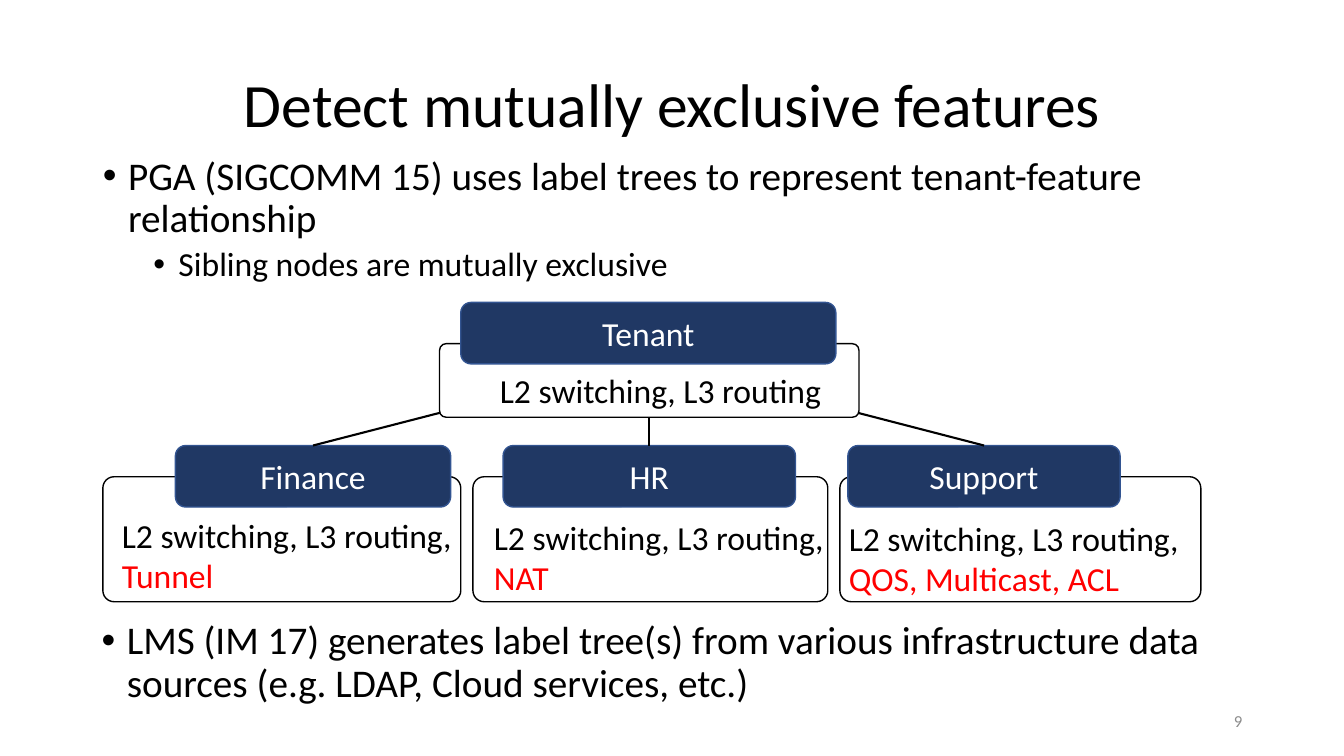
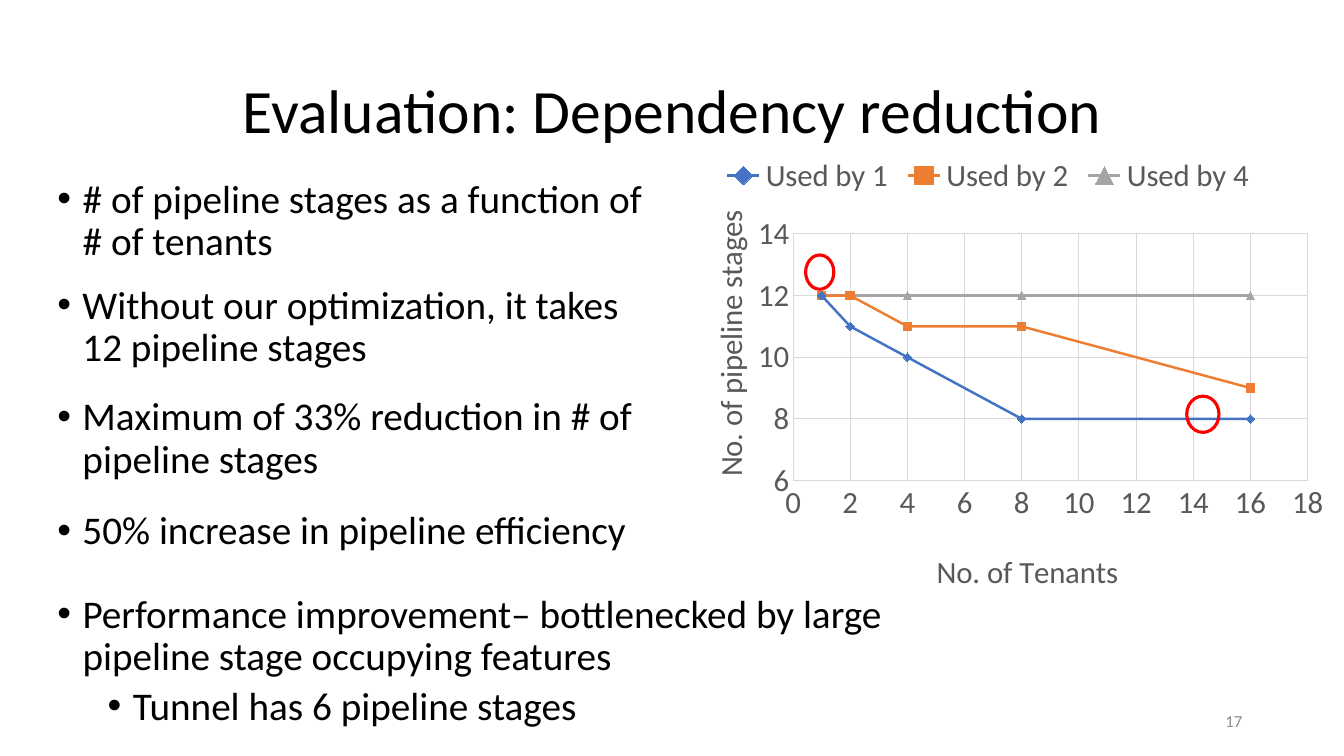
from lxml import etree
from pptx import Presentation
from pptx.chart.data import XyChartData
from pptx.dml.color import RGBColor
from pptx.enum.chart import XL_CHART_TYPE as CT, XL_LEGEND_POSITION as LP
from pptx.enum.chart import XL_MARKER_STYLE as MS, XL_TICK_MARK as TM
from pptx.enum.shapes import MSO_CONNECTOR, MSO_SHAPE as SH
from pptx.enum.text import MSO_ANCHOR, MSO_AUTO_SIZE, PP_ALIGN
from pptx.oxml import parse_xml
from pptx.oxml.ns import nsdecls, qn
from pptx.util import Inches, Pt

FONT = "Calibri"
BLACK, WHITE, RED, NAVY, EDGE = "000000", "FFFFFF", "FF0000", "203864", "325491"
GREY, PALE, NUMBER = "595959", "D9D9D9", "8C8C8C"

TREE_TITLE = "Detect mutually exclusive features"
TREE_INTRO = [
    (0, 28, "PGA (SIGCOMM 15) uses label trees to represent tenant-feature relationship"),
    (1, 24, "Sibling nodes are mutually exclusive"),
]
TREE_OUTRO = [(0, 28, "LMS (IM 17) generates label tree(s) from various infrastructure "
                      "data sources (e.g. LDAP, Cloud services, etc.)")]
SHARED = "L2 switching, L3 routing"
ROOT = dict(name="Tenant", panel=(4.36, 3.41, 4.16, 0.73), head=(4.57, 3, 3.72),
            text=(4.86, 3.62), lines=[(SHARED, BLACK)])
CHILDREN = [
    dict(name=name, panel=(px, 4.73, pw, 1.24), head=(hx, 4.42, hw), text=(tx, ty),
         lines=[(SHARED + ",", BLACK), (own, RED)])
    for name, px, pw, hx, hw, tx, ty, own in [
        ("Finance", 1.02, 3.55, 1.74, 2.73, 1.11, 5.06, "Tunnel"),
        ("HR", 4.69, 3.52, 4.99, 2.9, 4.8, 5.08, "NAT"),
        ("Support", 8.33, 3.58, 8.41, 2.7, 8.32, 5.09, "QOS, Multicast, ACL"),
    ]
]

EVAL_TITLE = "Evaluation: Dependency reduction"
EVAL_POINTS = [
    ((0.47, 1.73, 6.24, 0.96), [(0, 28, "# of pipeline stages as a function of # of tenants")]),
    ((0.47, 2.78, 6.24, 0.96), [(0, 28, "Without our optimization, it takes 12 pipeline stages")]),
    ((0.47, 3.89, 6.24, 0.98), [(0, 28, "Maximum of 33% reduction in # of pipeline stages")]),
    ((0.47, 5.02, 6.24, 0.78), [(0, 28, "50% increase in pipeline efficiency")]),
    ((0.47, 5.85, 9.15, 1.36), [
        (0, 28, "Performance improvement– bottlenecked by large pipeline stage occupying features"),
        (1, 28, "Tunnel has 6 pipeline stages")]),
]
TENANTS = [1, 2, 4, 8, 16]
SERIES = [
    ("Used by 1", [12, 11, 10, 8, 8], "4472C4", MS.DIAMOND),
    ("Used by 2", [12, 12, 11, 11, 9], "ED7D31", MS.SQUARE),
    ("Used by 4", [12, 12, 12, 12, 12], "A5A5A5", MS.TRIANGLE),
]
RINGS = [(7.99, 2.53, 0.28, 0.34), (11.77, 3.93, 0.32, 0.36)]


def rgb(color):
    return RGBColor.from_string(color)


def box(*lengths):
    return [Inches(n) for n in lengths]


def style(font, size, color):
    font.name, font.size, font.bold = FONT, Pt(size), False
    font.color.rgb = rgb(color)


def add_run(p, text, size, color=BLACK):
    r = p.add_run()
    r.text = text
    style(r.font, size, color)


def place(sp, at):
    sp.left, sp.top, sp.width, sp.height = box(*at)
    tf = sp.text_frame
    tf.word_wrap, tf.auto_size = True, MSO_AUTO_SIZE.NONE
    return tf


def paragraph(tf, i):
    return tf.paragraphs[0] if i == 0 else tf.add_paragraph()


def add_text(s, at):
    return place(s.shapes.add_textbox(*box(*at)), at)


def fill_bullets(tf, items):
    tf.vertical_anchor = MSO_ANCHOR.TOP
    for i, (level, size, text) in enumerate(items):
        p = paragraph(tf, i)
        p.level = level
        pPr = p._p.get_or_add_pPr()
        pPr.set("marL", str(Inches(0.25 + 0.5 * level)))
        pPr.set("indent", str(Inches(-0.25)))
        etree.SubElement(pPr, qn("a:buFont")).set("typeface", "Arial")
        etree.SubElement(pPr, qn("a:buChar")).set("char", "•")
        p.line_spacing = 0.9
        p.space_before = Pt((10 - 5 * level) if i else 0)
        add_run(p, text, size)


def add_slide(prs, title, top, body_at, items, number):
    s = prs.slides.add_slide(prs.slide_layouts[1])
    tf = place(s.shapes.title, (0.92, top, 11.5, 1.45))
    tf.vertical_anchor = MSO_ANCHOR.MIDDLE
    p = tf.paragraphs[0]
    p.alignment, p.line_spacing = PP_ALIGN.CENTER, 0.9
    add_run(p, title, 44)
    fill_bullets(place(s.placeholders[1], body_at), items)
    tf = add_text(s, (9.42, 6.95, 3, 0.4))
    tf.vertical_anchor = MSO_ANCHOR.MIDDLE
    p = tf.paragraphs[0]
    p.alignment = PP_ALIGN.RIGHT
    add_run(p, number, 12, NUMBER)
    return s


def add_outline(s, kind, at, fill, line, width):
    sp = s.shapes.add_shape(kind, *box(*at))
    sp.shadow.inherit = False
    if fill:
        sp.fill.solid()
        sp.fill.fore_color.rgb = rgb(fill)
    else:
        sp.fill.background()
    sp.line.color.rgb = rgb(line)
    sp.line.width = Pt(width)
    return sp


def add_node(s, node):
    panel = add_outline(s, SH.ROUNDED_RECTANGLE, node["panel"], WHITE, BLACK, 1)
    panel.adjustments[0] = 0.09
    head = add_outline(s, SH.ROUNDED_RECTANGLE, (*node["head"], 0.61), NAVY, EDGE, 1)
    tf = head.text_frame
    tf.vertical_anchor = MSO_ANCHOR.MIDDLE
    p = tf.paragraphs[0]
    p.alignment = PP_ALIGN.CENTER
    add_run(p, node["name"], 24, WHITE)
    tf = add_text(s, (*node["text"], 3.6, 0.1 + 0.4 * len(node["lines"])))
    for i, (text, color) in enumerate(node["lines"]):
        add_run(paragraph(tf, i), text, 24, color)
    return head


def add_branch(s, head):
    start = box(6.44, 3.56)
    c = s.shapes.add_connector(MSO_CONNECTOR.STRAIGHT, *start, *start)
    c.end_connect(head, 0)
    c.line.color.rgb = rgb(BLACK)
    c.line.width = Pt(1.5)
    etree.SubElement(c._element.spPr, qn("a:effectLst"))


def layout_xml(x, y, w=None, h=None):
    parts = '<c:layoutTarget val="inner"/>' if w else ""
    parts += '<c:xMode val="edge"/><c:yMode val="edge"/>'
    sizes = [("x", x), ("y", y), ("w", w), ("h", h)]
    parts += "".join(f'<c:{k} val="{v}"/>' for k, v in sizes if v is not None)
    return parse_xml(f'<c:layout {nsdecls("c")}><c:manualLayout>{parts}'
                     '</c:manualLayout></c:layout>')


def set_layout(parent, layout, after=None):
    for old in parent.findall(qn("c:layout")):
        parent.remove(old)
    if after is None:
        parent.insert(0, layout)
    else:
        parent.find(qn(after)).addnext(layout)


def format_axis(axis, title, low, high, title_at):
    axis.minimum_scale, axis.maximum_scale, axis.major_unit = low, high, 2
    axis.major_tick_mark = axis.minor_tick_mark = TM.NONE
    axis.has_major_gridlines = True
    for line in (axis.format.line, axis.major_gridlines.format.line):
        line.color.rgb = rgb(PALE)
        line.width = Pt(0.75)
    style(axis.tick_labels.font, 22, GREY)
    axis.tick_labels.number_format = "General"
    axis.tick_labels.number_format_is_linked = False
    axis.has_title = True
    add_run(axis.axis_title.text_frame.paragraphs[0], title, 22, GREY)
    set_layout(axis.axis_title._element, layout_xml(*title_at), "c:tx")


def add_stage_chart(s):
    data = XyChartData()
    for name, stages, _, _ in SERIES:
        series = data.add_series(name)
        for x, y in zip(TENANTS, stages):
            series.add_data_point(x, y)
    frame = s.shapes.add_chart(CT.XY_SCATTER_LINES, *box(6.27, 1.42, 7.06, 4.69), data)
    chart = frame.chart
    style(chart.font, 22, BLACK)
    chart.has_title = False
    chart.has_legend = True
    chart.legend.position = LP.TOP
    chart.legend.include_in_layout = False
    style(chart.legend.font, 22, GREY)
    plot = chart.plots[0]
    plot.vary_by_categories = False
    for series, (_, _, color, marker) in zip(plot.series, SERIES):
        series.smooth = False
        series.format.line.color.rgb = rgb(color)
        series.format.line.width = Pt(1.75)
        series.marker.style, series.marker.size = marker, 6
        series.marker.format.fill.solid()
        series.marker.format.fill.fore_color.rgb = rgb(color)
        series.marker.format.line.color.rgb = rgb(color)
    format_axis(chart.category_axis, "No. of Tenants", 0, 18, (0.42, 0.85))
    format_axis(chart.value_axis, "No. of pipeline stages", 6, 14, (0.1, 0.13))
    body = chart.value_axis.axis_title.text_frame._txBody.bodyPr
    body.set("rot", "-5400000")
    body.set("vert", "horz")
    plot_area = chart._chartSpace.chart.plotArea
    set_layout(plot_area, layout_xml(0.226, 0.192, 0.723, 0.522))


def build_tree_slide(prs):
    s = add_slide(prs, TREE_TITLE, 0.34, (0.92, 1.5, 11.5, 1.51), TREE_INTRO, "9")
    heads = [add_node(s, child) for child in CHILDREN]
    for head in heads:
        add_branch(s, head)
    add_node(s, ROOT)
    fill_bullets(add_text(s, (0.91, 6.11, 11.5, 1.01)), TREE_OUTRO)


def build_evaluation_slide(prs):
    first, *others = EVAL_POINTS
    s = add_slide(prs, EVAL_TITLE, 0.4, *first, "17")
    add_stage_chart(s)
    for at, items in others:
        fill_bullets(add_text(s, at), items)
    for at in RINGS:
        add_outline(s, SH.OVAL, at, None, RED, 2.25)


def main():
    prs = Presentation()
    prs.slide_width, prs.slide_height = box(13.33, 7.5)
    build_tree_slide(prs)
    build_evaluation_slide(prs)
    prs.save("out.pptx")


if __name__ == "__main__":
    main()
